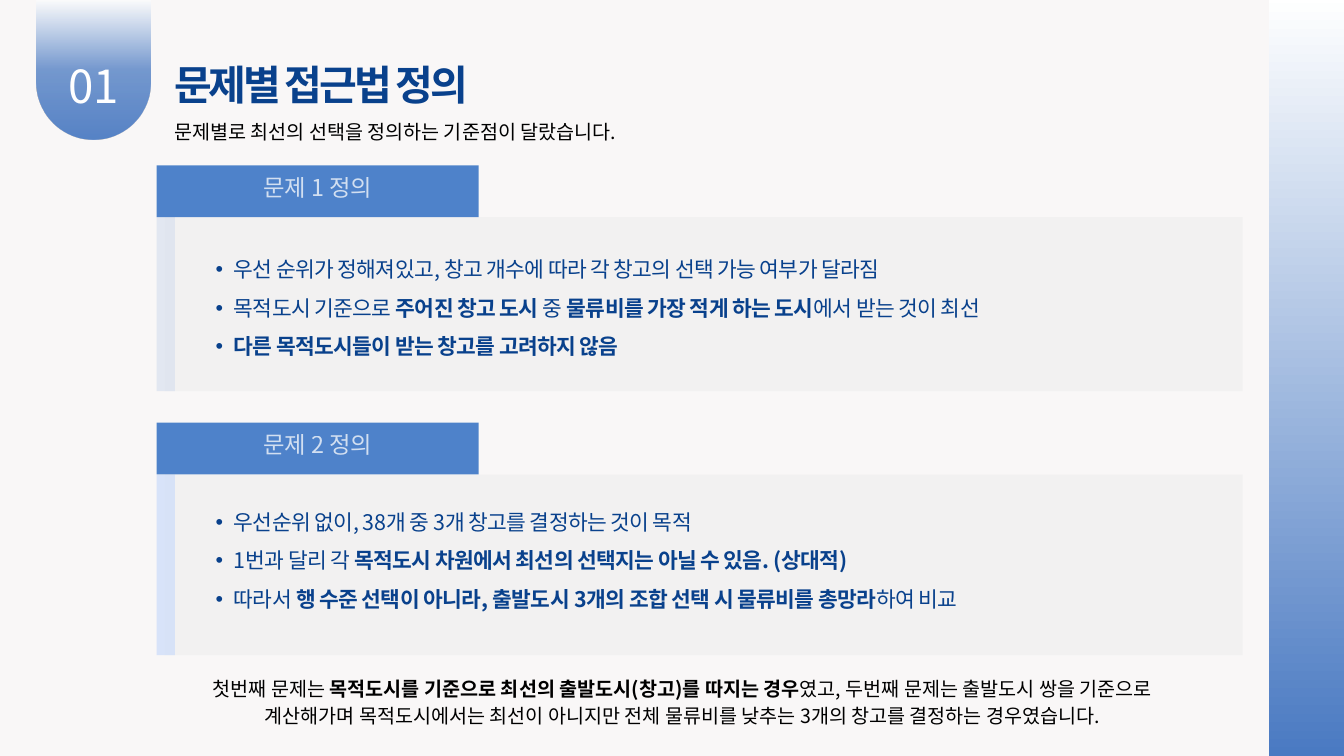
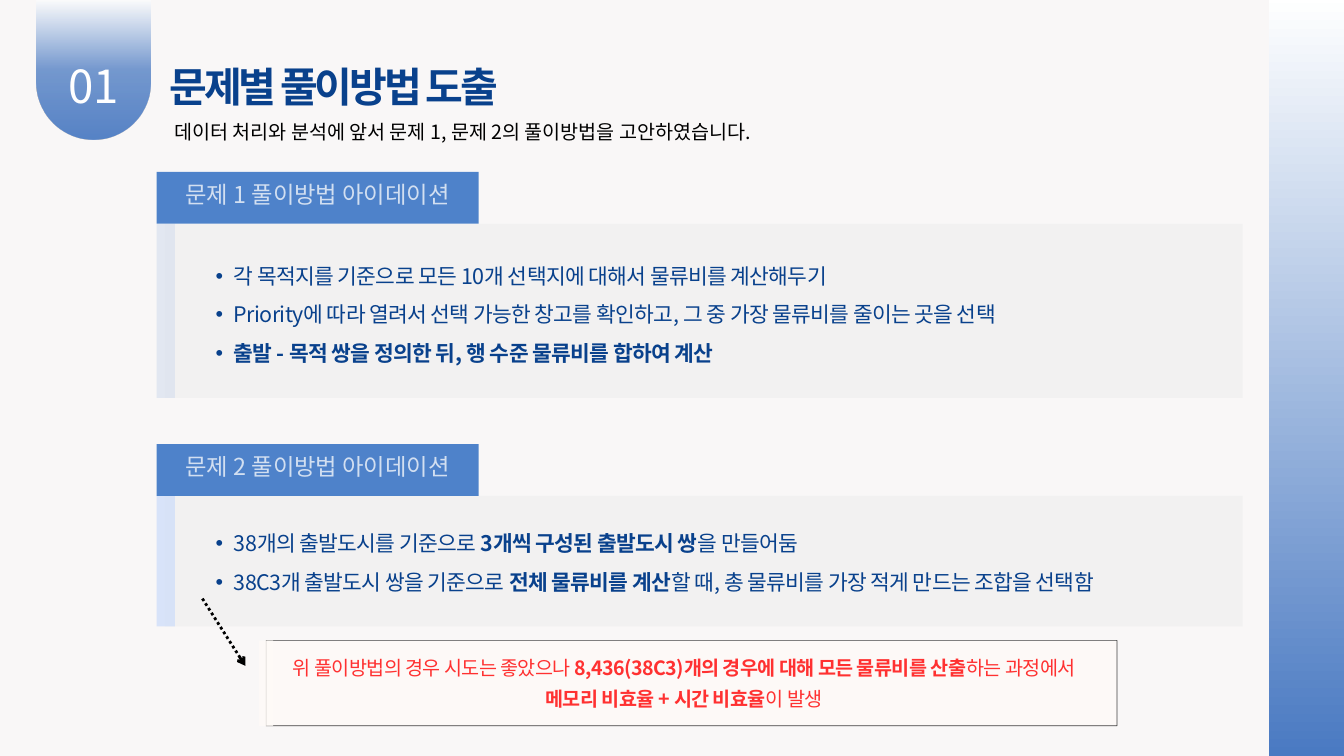
"""Build two slides that define the problems and the ways to solve them."""
from math import cos, pi, sin
from typing import NamedTuple

from lxml.etree import SubElement
from pptx import Presentation
from pptx.dml.color import RGBColor
from pptx.enum.dml import MSO_LINE
from pptx.enum.shapes import MSO_CONNECTOR, MSO_SHAPE
from pptx.enum.text import MSO_ANCHOR, MSO_AUTO_SIZE, PP_ALIGN
from pptx.oxml.ns import qn
from pptx.util import Cm, Pt

FONT = "Noto Sans CJK KR"
PAPER = RGBColor(0xF9, 0xF7, 0xF7)
WHITE = RGBColor(0xFF, 0xFF, 0xFF)
BLACK = RGBColor(0x00, 0x00, 0x00)
NAVY = RGBColor(0x09, 0x41, 0x8C)
HEADER_BLUE = RGBColor(0x15, 0x5C, 0xBB)
MID_BLUE = RGBColor(0x4A, 0x7A, 0xC2)
DEEP_BLUE = RGBColor(0x21, 0x5D, 0xB6)
PANEL_GRAY = RGBColor(0xF0, 0xF0, 0xF0)
STRIPE_GRAY = RGBColor(0xDB, 0xE2, 0xEF)
STRIPE_BLUE = RGBColor(0xCE, 0xDD, 0xFA)
CREAM = RGBColor(0xFF, 0xFB, 0xF7)
RED = RGBColor(0xFF, 0x31, 0x31)
ALPHA = "75000"
HEADER_HEIGHT = 1.96


class Box(NamedTuple):
    """Position and size in centimetres."""
    left: float
    top: float
    width: float
    height: float

    def lengths(self):
        """Return the four measures as slide lengths."""
        return [Cm(measure) for measure in self]


class Style(NamedTuple):
    """Look of one kind of text."""
    size: float
    leading: float
    color: RGBColor
    align: PP_ALIGN = PP_ALIGN.LEFT
    spacing: int = 0
    bold: bool = False
    bullet: bool = False


TITLE = Style(44, 44, NAVY, spacing=-320, bold=True)
NUMBER = Style(48.8, 48.8, WHITE, PP_ALIGN.CENTER)
SUBTITLE = Style(21, 29.4, BLACK)
HEADER = Style(25, 35, WHITE, PP_ALIGN.CENTER)
BULLETS = Style(23, 41.4, NAVY, spacing=-70, bullet=True)
CLOSING = Style(21, 29.4, BLACK, PP_ALIGN.CENTER)
WARNING = Style(21, 33.6, RED, PP_ALIGN.CENTER, spacing=-60)


def make_translucent(element):
    """Give every colour inside the element the shared opacity."""
    for color in element.iter(qn("a:srgbClr")):
        SubElement(color, qn("a:alpha"), val=ALPHA)


def add_bullet(para):
    """Give the paragraph a round bullet with a hanging indent."""
    para.level = 1
    props = para._p.get_or_add_pPr()
    props.set("marL", str(Cm(1.37)))
    props.set("indent", str(Cm(-0.69)))
    SubElement(props, qn("a:buFont"), typeface="Arial")
    SubElement(props, qn("a:buChar"), char="•")


def write(frame, lines, style):
    """Fill the frame with one paragraph a line; asterisks enclose bold words."""
    for index, line in enumerate(lines):
        para = frame.add_paragraph() if index else frame.paragraphs[0]
        if style.bullet:
            add_bullet(para)
        para.alignment = style.align
        para.line_spacing = Pt(style.leading)
        for order, words in enumerate(line.split("*")):
            if not words:
                continue
            span = para.add_run()
            span.text = words
            span.font.size = Pt(style.size)
            span.font.bold = style.bold or order % 2 == 1
            span.font.color.rgb = style.color
            span.font.name = FONT
            props = span._r.get_or_add_rPr()
            props.set("spc", str(style.spacing))
            SubElement(props, qn("a:ea"), typeface=FONT)


def add_text(page, box, lines, style):
    """Add a wrapping text box without insets."""
    frame = page.shapes.add_textbox(*box.lengths()).text_frame
    frame.word_wrap = True
    frame.auto_size = MSO_AUTO_SIZE.SHAPE_TO_FIT_TEXT
    frame.margin_left = frame.margin_right = 0
    frame.margin_top = frame.margin_bottom = 0
    write(frame, lines, style)


def add_block(page, box, color, outline=None):
    """Add a translucent rectangle."""
    block = page.shapes.add_shape(MSO_SHAPE.RECTANGLE, *box.lengths())
    block.shadow.inherit = False
    block.fill.solid()
    block.fill.fore_color.rgb = color
    if outline is None:
        block.line.fill.background()
    else:
        block.line.color.rgb = outline
        block.line.width = Pt(0.75)
    make_translucent(block.element.spPr)
    return block


def paint_gradient(shape, colors):
    """Fill the shape from top to bottom with evenly spaced colours."""
    shape.shadow.inherit = False
    shape.line.fill.background()
    shape.fill.gradient()
    shape.fill.gradient_angle = 270
    stops = shape.element.spPr.find(qn("a:gradFill")).find(qn("a:gsLst"))
    for stop in list(stops):
        stops.remove(stop)
    for index, color in enumerate(colors):
        place = 100000 * index // (len(colors) - 1)
        stop = SubElement(stops, qn("a:gs"), pos=str(place))
        SubElement(stop, qn("a:srgbClr"), val=str(color))


def add_side_band(page, box):
    """Add the gradient band on the right edge."""
    band = page.shapes.add_shape(MSO_SHAPE.RECTANGLE, *box.lengths())
    paint_gradient(band, [WHITE, MID_BLUE])


def add_number_tab(page, box, number):
    """Add the hanging tab with a round lower end and its number."""
    radius = box.width / 2
    drop = box.height - radius
    steps = 40
    arc = [(Cm(box.left + radius * (1 + cos(pi * step / steps))),
            Cm(box.top + drop + radius * sin(pi * step / steps)))
           for step in range(steps + 1)]
    outline = page.shapes.build_freeform(Cm(box.left), Cm(box.top))
    outline.add_line_segments([(Cm(box.left + box.width), Cm(box.top)), *arc])
    tab = outline.convert_to_shape()
    paint_gradient(tab, [WHITE, MID_BLUE, DEEP_BLUE])
    make_translucent(tab.element.spPr)
    add_text(page, Box(box.left + 0.79, box.top + 2.54, 2.74, 1.83), [number], NUMBER)


def add_section(page, box, heading, lines, stripe, inset):
    """Add a heading bar over a striped panel with bullets."""
    top = box.top + HEADER_HEIGHT
    height = box.height - HEADER_HEIGHT
    add_block(page, Box(box.left + 0.31, top, box.width - 0.31, height), PANEL_GRAY)
    add_block(page, Box(box.left, top, 0.69, height), stripe)
    bullets = Box(box.left + 1.55, top + inset, 38, 1.46 * len(lines))
    add_text(page, bullets, lines, BULLETS)
    bar = add_block(page, Box(box.left, box.top, 12.17, HEADER_HEIGHT), HEADER_BLUE)
    frame = bar.text_frame
    frame.word_wrap = True
    frame.vertical_anchor = MSO_ANCHOR.MIDDLE
    frame.margin_top, frame.margin_bottom = Cm(0.1), Cm(0.58)
    write(frame, [heading], HEADER)
    make_translucent(frame._txBody)


def add_warning(page, box, lines):
    """Add the framed warning with its open left edge."""
    add_block(page, Box(box.left + 0.26, box.top, box.width - 0.26, box.height), CREAM, BLACK)
    add_block(page, Box(box.left, box.top, 0.53, box.height), CREAM)
    add_text(page, Box(box.left - 3.88, box.top + 0.28, 39.88, 2.24), lines, WARNING)


def add_dotted_arrow(page, box):
    """Add a dotted arrow from the upper left to the lower right of the box."""
    arrow = page.shapes.add_connector(
        MSO_CONNECTOR.STRAIGHT, Cm(box.left), Cm(box.top),
        Cm(box.left + box.width), Cm(box.top + box.height))
    arrow.line.color.rgb = BLACK
    arrow.line.width = Pt(3)
    arrow.line.dash_style = MSO_LINE.ROUND_DOT
    SubElement(arrow.line._get_or_add_ln(), qn("a:tailEnd"), type="arrow")
    SubElement(arrow.element.spPr, qn("a:effectLst"))


def start_page(deck, title_box, title, subtitle):
    """Add a page with the shared background, band, tab and titles."""
    page = deck.slides.add_slide(deck.slide_layouts[6])
    page.background.fill.solid()
    page.background.fill.fore_color.rgb = PAPER
    add_side_band(page, Box(47.95, -0.2, 2.85, 28.78))
    add_number_tab(page, Box(1.37, 0, 4.32, 5.28), "01")
    add_text(page, title_box, [title], TITLE)
    add_text(page, Box(6.58, 4.37, 39.24, 0.99), [subtitle], SUBTITLE)
    return page


def add_definition_page(deck):
    """Add the page that defines both problems."""
    page = start_page(deck, Box(6.58, 2.57, 20.9, 1.57), "문제별 접근법 정의",
                      "문제별로 최선의 선택을 정의하는 기준점이 달랐습니다.")
    add_section(page, Box(5.92, 6.25, 41.05, 8.54), "문제 1 정의", [
        "우선 순위가 정해져있고, 창고 개수에 따라 각 창고의 선택 가능 여부가 달라짐",
        "목적도시 기준으로 *주어진 창고 도시* 중 *물류비를 가장 적게 하는 도시*에서 받는 것이 최선",
        "*다른 목적도시들이 받는 창고를 고려하지 않음*",
    ], STRIPE_GRAY, 0.99)
    add_section(page, Box(5.92, 15.98, 41.05, 8.79), "문제 2 정의", [
        "우선순위 없이, 38개 중 3개 창고를 결정하는 것이 목적",
        "1번과 달리 각 *목적도시 차원에서 최선의 선택지는 아닐 수 있음. (상대적)*",
        "따라서 *행 수준 선택이 아니라, 출발도시 3개의 조합 선택 시 물류비를 총망라*하여 비교",
    ], STRIPE_BLUE, 0.81)
    add_text(page, Box(6.17, 25.43, 39.24, 2.03), [
        "첫번째 문제는 *목적도시를 기준으로 최선의 출발도시(창고)를 따지는 경우*였고, "
        "두번째 문제는 출발도시 쌍을 기준으로",
        "계산해가며 목적도시에서는 최선이 아니지만 전체 물류비를 낮추는 "
        "3개의 창고를 결정하는 경우였습니다.",
    ], CLOSING)


def add_solution_page(deck):
    """Add the page with the solution ideas and their drawback."""
    page = start_page(deck, Box(6.4, 2.62, 20.9, 1.57), "문제별 풀이방법 도출",
                      "데이터 처리와 분석에 앞서 문제 1, 문제 2의 풀이방법을 고안하였습니다.")
    add_section(page, Box(5.92, 6.5, 41.05, 8.54), "문제 1 풀이방법 아이데이션", [
        "각 목적지를 기준으로 모든 10개 선택지에 대해서 물류비를 계산해두기",
        "Priority에 따라 열려서 선택 가능한 창고를 확인하고, 그 중 가장 물류비를 줄이는 곳을 선택",
        "*출발 - 목적 쌍을 정의한 뒤, 행 수준 물류비를 합하여 계산*",
    ], STRIPE_GRAY, 0.99)
    add_section(page, Box(5.92, 16.79, 41.05, 6.89), "문제 2 풀이방법 아이데이션", [
        "38개의 출발도시를 기준으로 *3개씩 구성된 출발도시 쌍*을 만들어둠",
        "38C3개 출발도시 쌍을 기준으로 *전체 물류비를 계산*할 때, 총 물류비를 가장 적게 만드는 조합을 선택함",
    ], STRIPE_BLUE, 0.81)
    add_warning(page, Box(9.8, 24.21, 32.42, 3.23), [
        "위 풀이방법의 경우 시도는 좋았으나 "
        "*8,436(38C3)개의 경우에 대해 모든 물류비를 산출*하는 과정에서",
        "*메모리 비효율 + 시간 비효율*이 발생",
    ])
    add_dotted_arrow(page, Box(7.65, 22.63, 1.62, 2.54))


def main():
    """Build the deck and save it."""
    deck = Presentation()
    deck.slide_width, deck.slide_height = Cm(50.8), Cm(28.58)
    add_definition_page(deck)
    add_solution_page(deck)
    deck.save("out.pptx")


if __name__ == "__main__":
    main()
